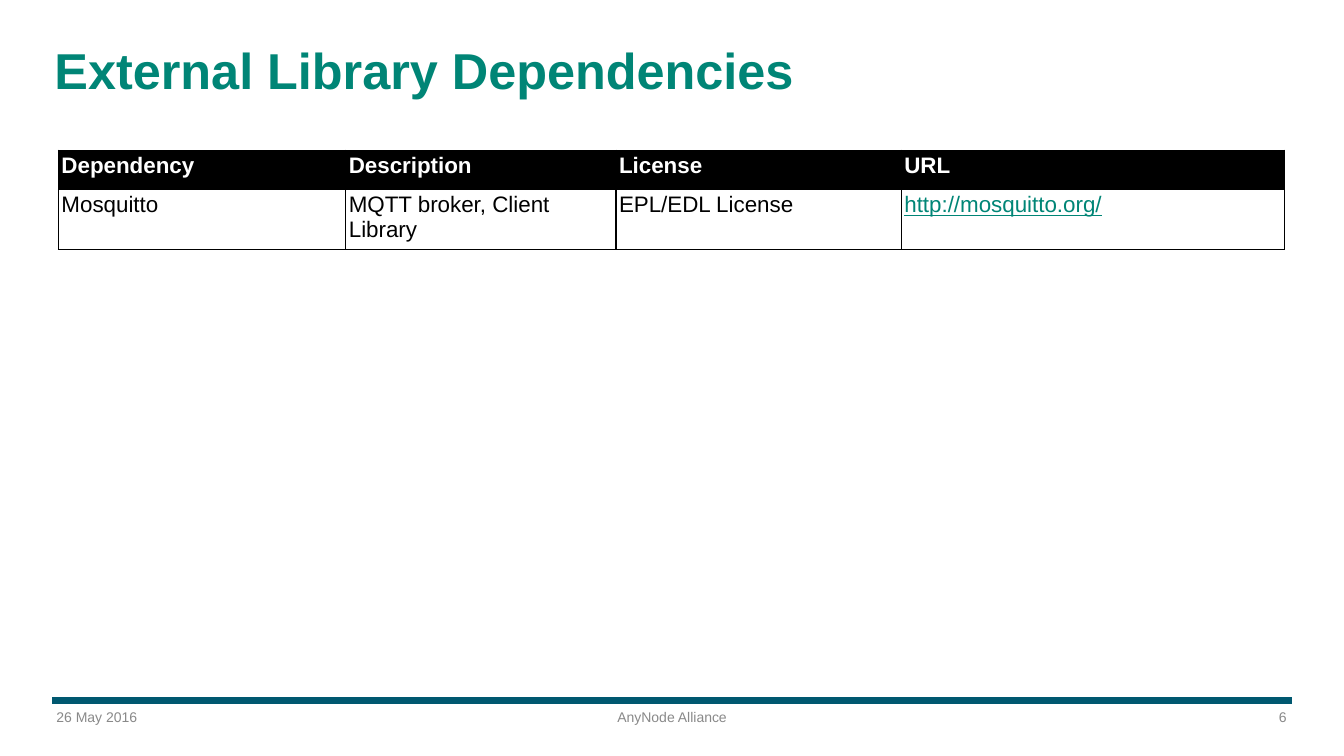
from dataclasses import dataclass

from lxml.etree import SubElement
from pptx import Presentation
from pptx.dml.color import RGBColor
from pptx.enum.shapes import MSO_CONNECTOR as Connector
from pptx.enum.text import MSO_ANCHOR as Anchor, PP_ALIGN as Align
from pptx.oxml.ns import qn
from pptx.slide import Slide
from pptx.table import _Cell as Cell
from pptx.text.text import TextFrame
from pptx.util import Inches, Pt

COLORS = {
    "title": "008576",
    "rule": "005870",
    "footer": "898989",
    "black": "000000",
    "white": "FFFFFF",
}
FONT = "Arial"


@dataclass(frozen=True)
class FooterItem:
    text: str
    left: float
    align: Align


@dataclass(frozen=True)
class Dependency:
    name: str
    description: str
    license: str
    url: str

    def values(self) -> tuple[str, ...]:
        return self.name, self.description, self.license, self.url


FOOTER = [
    FooterItem("26 May 2016", 0.51, Align.LEFT),
    FooterItem("AnyNode Alliance", 5.02, Align.CENTER),
    FooterItem("6", 9.52, Align.RIGHT),
]
HEADINGS = Dependency("Dependency", "Description", "License", "URL")
DEPENDENCIES = [
    Dependency("Mosquitto", "MQTT broker, Client Library", "EPL/EDL License", "http://mosquitto.org/"),
]
COLUMN_WIDTHS = [2.85, 2.68, 2.83, 3.8]
HEADING_HEIGHT, ENTRY_HEIGHT = 0.39, 0.55


def write(frame: TextFrame, text: str, size: float, color: str,
          bold: bool = False, align: Align = Align.LEFT) -> None:
    frame.text = text
    paragraph = frame.paragraphs[0]
    paragraph.alignment = align
    font = paragraph.font
    font.name, font.size, font.bold = FONT, Pt(size), bold
    font.color.rgb = RGBColor.from_string(COLORS[color])


def set_insets(frame: TextFrame, inset: float) -> None:
    frame.margin_left = frame.margin_right = Inches(inset)
    frame.margin_top = frame.margin_bottom = Inches(inset)


def add_footer(slide: Slide) -> None:
    for item in FOOTER:
        frame = slide.shapes.add_textbox(
            Inches(item.left), Inches(6.98), Inches(3.29), Inches(0.27)).text_frame
        frame.word_wrap = True
        set_insets(frame, 0.05)
        write(frame, item.text, 10, "footer", align=item.align)
    rule = slide.shapes.add_connector(
        Connector.STRAIGHT, Inches(0.52), Inches(6.95), Inches(12.81), Inches(6.95))
    rule.line.color.rgb = RGBColor.from_string(COLORS["rule"])
    rule.line.width = Pt(5.5)
    SubElement(rule._element.spPr, qn("a:effectLst"))


def add_title(slide: Slide) -> None:
    title = slide.shapes.title
    title.left, title.top = Inches(0.49), Inches(0.38)
    title.width, title.height = Inches(12.29), Inches(0.68)
    frame = title.text_frame
    frame.vertical_anchor = Anchor.MIDDLE
    set_insets(frame, 0.05)
    write(frame, "External Library Dependencies", 36, "title", bold=True)
    frame.paragraphs[0].line_spacing = 0.95


def add_borders(cell: Cell) -> None:
    properties = cell._tc.get_or_add_tcPr()
    for side in ("lnL", "lnR", "lnT", "lnB"):
        border = SubElement(properties, qn(f"a:{side}"), w=str(Pt(1)))
        fill = SubElement(border, qn("a:solidFill"))
        SubElement(fill, qn("a:srgbClr"), val=COLORS["black"])


def fill_cell(cell: Cell, text: str, heading: bool, link: bool) -> None:
    cell.margin_left = cell.margin_right = Inches(0.03)
    cell.margin_top = cell.margin_bottom = Inches(0.03)
    add_borders(cell)
    if heading:
        cell.fill.solid()
        cell.fill.fore_color.rgb = RGBColor.from_string(COLORS["black"])
    else:
        cell.fill.background()
    color = "white" if heading else "title" if link else "black"
    write(cell.text_frame, text, 16, color, bold=heading)
    if link:
        cell.text_frame.paragraphs[0].font.underline = True


def add_dependencies(slide: Slide) -> None:
    entries = [HEADINGS, *DEPENDENCIES]
    heights = [HEADING_HEIGHT] + [ENTRY_HEIGHT] * len(DEPENDENCIES)
    table = slide.shapes.add_table(
        len(entries), len(COLUMN_WIDTHS), Inches(0.58), Inches(1.49),
        Inches(sum(COLUMN_WIDTHS)), Inches(sum(heights))).table
    for column, width in zip(table.columns, COLUMN_WIDTHS):
        column.width = Inches(width)
    for row, height, entry in zip(table.rows, heights, entries):
        row.height = Inches(height)
        heading = entry is HEADINGS
        for cell, text in zip(row.cells, entry.values()):
            fill_cell(cell, text, heading, link=not heading and text == entry.url)


def main() -> None:
    """Build the slide that lists the external library dependencies."""
    deck = Presentation()
    deck.slide_width, deck.slide_height = Inches(13.33), Inches(7.5)
    slide = deck.slides.add_slide(deck.slide_layouts[5])
    add_footer(slide)
    add_title(slide)
    add_dependencies(slide)
    deck.save("out.pptx")


if __name__ == "__main__":
    main()
